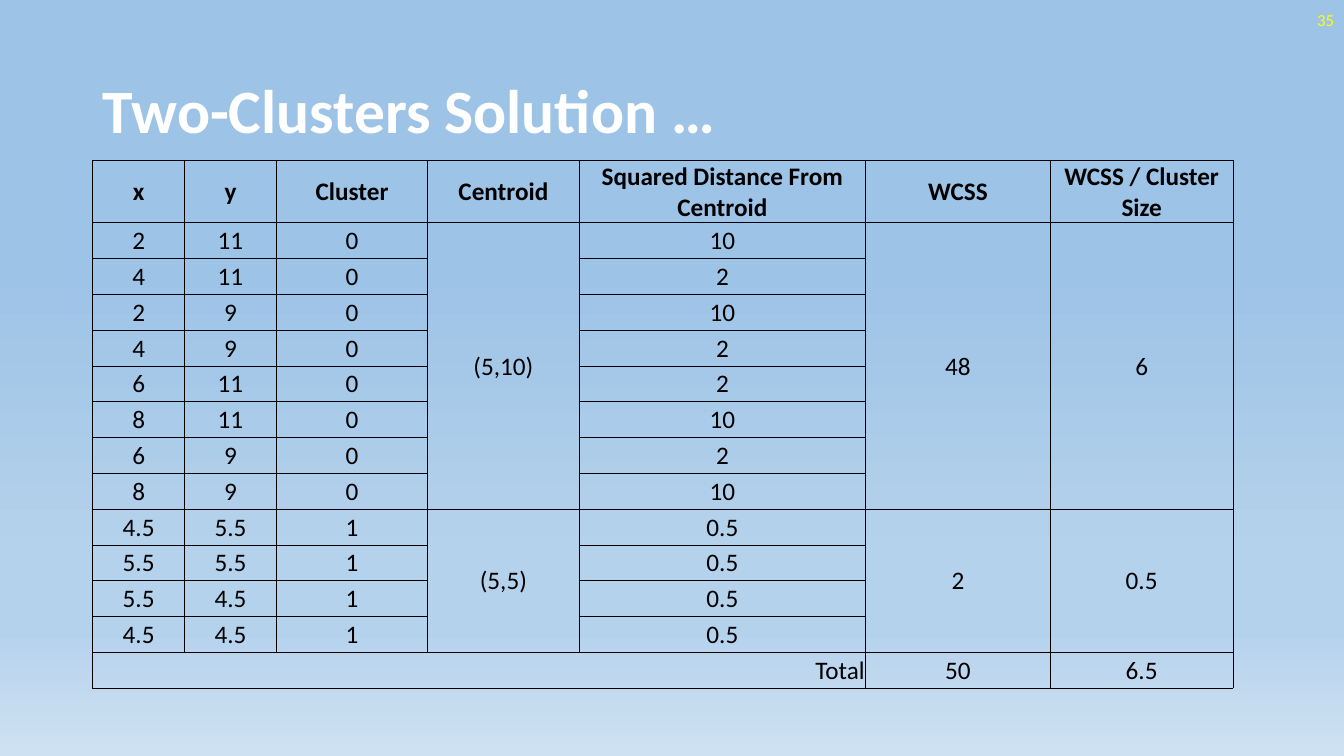
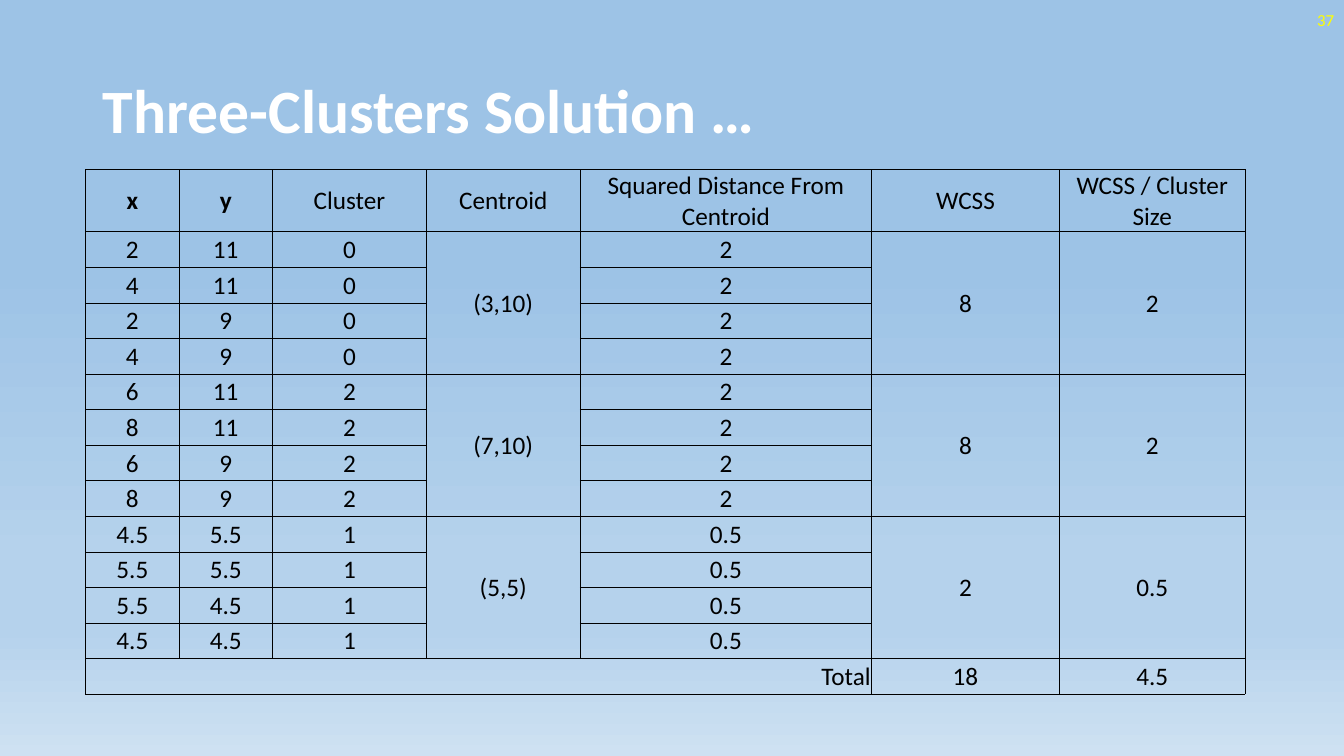
from lxml.etree import SubElement
from pptx import Presentation
from pptx.dml.color import RGBColor
from pptx.enum.text import MSO_ANCHOR as Anchor, PP_ALIGN as Align
from pptx.oxml.ns import qn
from pptx.util import Inches, Pt

COLORS = {
    "title": "FFFFFF",
    "number": "FFFF00",
    "text": "000000",
    "border": "000000",
    "sky": "9DC3E6",
    "mist": "B5D2EC",
    "haze": "CEE1F2",
}
FONT = "Calibri"
GRADIENT = [(35, "sky"), (74, "mist"), (83, "mist"), (100, "haze")]

HEADERS = ["x", "y", "Cluster", "Centroid", "Squared Distance From Centroid",
           "WCSS", "WCSS / Cluster Size"]
COLUMN_SHARES = [0.91, 0.91, 1.5, 1.5, 2.84, 1.83, 1.81]
HEADER_HEIGHT = 0.62

# Sample points, in table order
LEFT_SQUARE = [(2, 11), (4, 11), (2, 9), (4, 9)]
RIGHT_SQUARE = [(6, 11), (8, 11), (6, 9), (8, 9)]
SMALL_SQUARE = [(4.5, 5.5), (5.5, 5.5), (5.5, 4.5), (4.5, 4.5)]


def write(frame, text, size=18, color="text", bold=False, align=Align.CENTER):
    """Put one formatted paragraph into a text frame."""
    paragraph = frame.paragraphs[0]
    paragraph.alignment = align
    run = paragraph.add_run()
    run.text = text
    run.font.name = FONT
    run.font.size = Pt(size)
    run.font.bold = bold
    run.font.color.rgb = RGBColor.from_string(COLORS[color])
    return paragraph


def add_color(parent, color):
    SubElement(parent, qn("a:srgbClr"), val=COLORS[color])


class Deck:
    def __init__(self):
        self.presentation = Presentation()
        self.presentation.slide_width = Inches(13.33)
        self.presentation.slide_height = Inches(7.5)
        self.slide = None
        self.paint_background()

    def paint_background(self):
        """Give the master a vertical gradient that all slides inherit."""
        master = self.presentation.slide_master
        fill = master.background.fill
        fill.gradient()
        fill.gradient_angle = 270
        stops = next(master.element.iter(qn("a:gsLst")))
        for stop in list(stops):
            stops.remove(stop)
        for percent, color in GRADIENT:
            add_color(SubElement(stops, qn("a:gs"), pos=str(percent * 1000)), color)

    def start_slide(self, title, number):
        self.slide = self.presentation.slides.add_slide(
            self.presentation.slide_layouts[5])
        # Title
        shape = self.slide.shapes.title
        shape.left, shape.top = Inches(0.92), Inches(0.4)
        shape.width, shape.height = Inches(11.5), Inches(1.45)
        shape.text_frame.vertical_anchor = Anchor.MIDDLE
        paragraph = write(shape.text_frame, title, size=44, color="title",
                          bold=True, align=Align.LEFT)
        paragraph.line_spacing = 0.9
        # Slide number
        box = self.slide.shapes.add_textbox(
            Inches(10.33), Inches(0), Inches(3), Inches(0.4))
        box.text_frame.word_wrap = True
        box.text_frame.vertical_anchor = Anchor.MIDDLE
        write(box.text_frame, str(number), size=12, color="number",
              align=Align.RIGHT)

    def style_cell(self, cell):
        cell.margin_left = cell.margin_top = cell.margin_right = Inches(0.01)
        cell.margin_bottom = 0
        cell.vertical_anchor = Anchor.MIDDLE
        properties = cell._tc.get_or_add_tcPr()
        for side in ("lnL", "lnR", "lnT", "lnB"):
            line = SubElement(properties, qn(f"a:{side}"), w=str(Pt(0.5)))
            add_color(SubElement(line, qn("a:solidFill")), "border")
        cell.fill.background()

    def add_grid(self, left, top, width, height, row_count):
        """Add an unfilled, bordered table with a taller header row."""
        table = self.slide.shapes.add_table(
            row_count, len(HEADERS), Inches(left), Inches(top),
            Inches(width), Inches(height)).table
        table.first_row = table.horz_banding = False
        for column, share in zip(table.columns, COLUMN_SHARES):
            column.width = Inches(width * share / sum(COLUMN_SHARES))
        for row in table.rows:
            row.height = Inches((height - HEADER_HEIGHT) / (row_count - 1))
        table.rows[0].height = Inches(HEADER_HEIGHT)
        for cell in table.iter_cells():
            self.style_cell(cell)
        return table

    def add_cluster_table(self, clusters, left, top, width, height, bold_headers):
        """Tabulate the points with their distances, sums and averages."""
        point_count = sum(len(points) for _, _, points in clusters)
        table = self.add_grid(left, top, width, height, point_count + 2)

        def put(row, column, value, **style):
            text = value if isinstance(value, str) else f"{value:g}"
            write(table.cell(row, column).text_frame, text, **style)

        for column, header in enumerate(HEADERS):
            put(0, column, header, bold=column < bold_headers)

        # Cluster blocks
        row = 1
        total = average_total = 0
        for label, (center_x, center_y), points in clusters:
            distances = [(x - center_x) ** 2 + (y - center_y) ** 2
                         for x, y in points]
            wcss = sum(distances)
            average = wcss / len(points)
            last = row + len(points) - 1
            for column, value in ((3, f"({center_x},{center_y})"),
                                  (5, wcss), (6, average)):
                table.cell(row, column).merge(table.cell(last, column))
                put(row, column, value)
            for (x, y), distance in zip(points, distances):
                for column, value in ((0, x), (1, y), (2, label), (4, distance)):
                    put(row, column, value)
                row += 1
            total += wcss
            average_total += average

        # Total row
        table.cell(row, 0).merge(table.cell(row, 4))
        put(row, 0, "Total", align=Align.RIGHT)
        put(row, 5, total)
        put(row, 6, average_total)


def main():
    deck = Deck()

    deck.start_slide("Two-Clusters Solution …", 35)
    deck.add_cluster_table(
        [(0, (5, 10), LEFT_SQUARE + RIGHT_SQUARE), (1, (5, 5), SMALL_SQUARE)],
        left=0.92, top=1.59, width=11.31, height=5.24,
        bold_headers=len(HEADERS))

    deck.start_slide("Three-Clusters Solution …", 37)
    deck.add_cluster_table(
        [(0, (3, 10), LEFT_SQUARE), (2, (7, 10), RIGHT_SQUARE),
         (1, (5, 5), SMALL_SQUARE)],
        left=0.85, top=1.68, width=11.5, height=5.21, bold_headers=2)

    deck.presentation.save("out.pptx")


if __name__ == "__main__":
    main()
